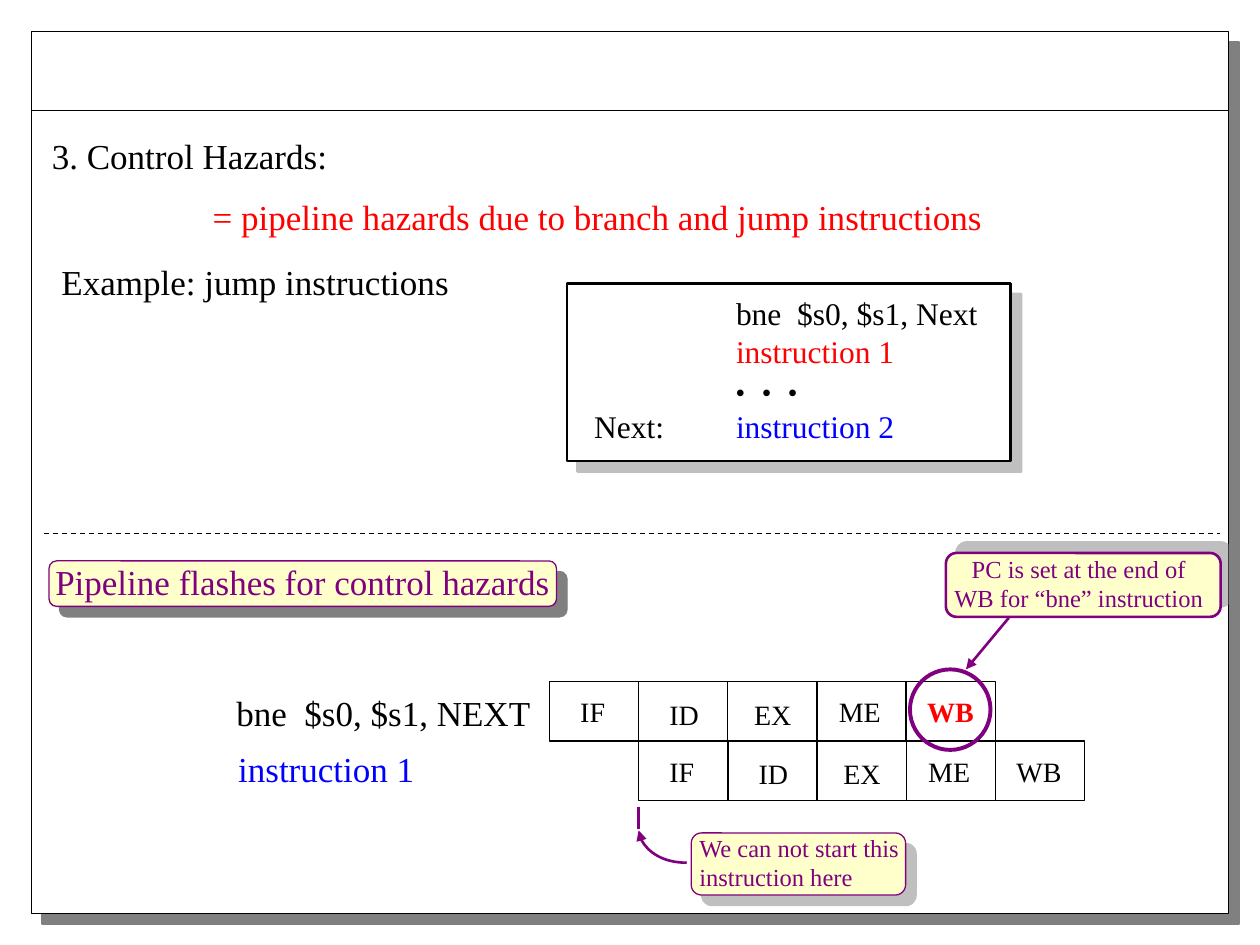
from dataclasses import dataclass

from lxml import etree
from pptx import Presentation
from pptx import util as u
from pptx.dml import color
from pptx.enum import dml, shapes, text
from pptx.oxml import ns

Pt = u.Pt
BLACK = color.RGBColor(0x00, 0x00, 0x00)
WHITE = color.RGBColor(0xFF, 0xFF, 0xFF)
RED = color.RGBColor(0xFF, 0x00, 0x00)
BLUE = color.RGBColor(0x00, 0x00, 0xFF)
PURPLE = color.RGBColor(0x80, 0x00, 0x80)
CREAM = color.RGBColor(0xFF, 0xFF, 0xCC)
SERIF = "Times New Roman"
RECT = shapes.MSO_SHAPE.RECTANGLE
ROUNDED = shapes.MSO_SHAPE.ROUNDED_RECTANGLE
OVAL = shapes.MSO_SHAPE.OVAL
CELL_WIDTH, CELL_HEIGHT = 50.95, 34
CODE_TABS = (81, 96, 111)


@dataclass(frozen=True)
class Shadow:
    opacity: int
    angle: int = 45


@dataclass(frozen=True)
class Panel:
    left: float
    top: float
    width: float
    height: float
    fill: color.RGBColor | None = WHITE
    line: color.RGBColor = BLACK
    weight: float = 0.75
    kind: shapes.MSO_SHAPE = RECT
    shadow: Shadow | None = None


@dataclass(frozen=True)
class Label:
    left: float
    top: float
    width: float
    height: float
    lines: tuple[str, ...]
    size: float = 20
    ink: color.RGBColor = BLACK
    bold: bool = False
    align: text.PP_ALIGN = text.PP_ALIGN.LEFT


@dataclass(frozen=True)
class Stage:
    name: str
    dx: float
    dy: float
    width: float


STAGES = (
    Stage("IF", 10.5, 4, 31),
    Stage("ID", 10.5, 5.5, 34),
    Stage("EX", 8, 5.5, 38),
    Stage("ME", 5.5, 4, 42),
    Stage("WB", 5, 4, 44),
)


def draw_panel(page, panel: Panel):
    box = page.shapes.add_shape(
        panel.kind, Pt(panel.left), Pt(panel.top), Pt(panel.width), Pt(panel.height))
    if panel.fill is None:
        box.fill.background()
    else:
        box.fill.solid()
        box.fill.fore_color.rgb = panel.fill
    box.line.color.rgb = panel.line
    box.line.width = Pt(panel.weight)
    box.shadow.inherit = False
    if panel.shadow:
        effects = box._element.spPr.find(ns.qn("a:effectLst"))
        outer = etree.SubElement(
            effects, ns.qn("a:outerShdw"), dist=str(Pt(8.5)),
            dir=str(panel.shadow.angle * 60000), algn="ctr", rotWithShape="0")
        tint = etree.SubElement(outer, ns.qn("a:srgbClr"), val="808080")
        etree.SubElement(tint, ns.qn("a:alpha"), val=str(panel.shadow.opacity * 1000))
    return box


def style_paragraph(para, size: float, ink: color.RGBColor, bold: bool = False) -> None:
    para.font.name = SERIF
    para.font.size = Pt(size)
    para.font.color.rgb = ink
    para.font.bold = bold


def add_text_box(page, left: float, top: float, width: float, height: float):
    box = page.shapes.add_textbox(Pt(left), Pt(top), Pt(width), Pt(height))
    box.text_frame.word_wrap = True
    return box


def draw_label(page, label: Label):
    box = add_text_box(page, label.left, label.top, label.width, label.height)
    box.text_frame.text = "\n".join(label.lines)
    for para in box.text_frame.paragraphs:
        para.alignment = label.align
        style_paragraph(para, label.size, label.ink, label.bold)
    return box


def draw_code(page) -> None:
    frame = add_text_box(page, 332.5, 164.5, 238, 93.5).text_frame
    listing = (
        ("\t", "bne  $s0, $s1, Next", BLACK),
        ("\t", "instruction 1", RED),
        ("\t", "•\t•\t•", BLACK),
        ("Next:\t", "instruction 2", BLUE),
    )
    for index, (lead, code, ink) in enumerate(listing):
        para = frame.paragraphs[0] if index == 0 else frame.add_paragraph()
        stops = etree.SubElement(para._p.get_or_add_pPr(), ns.qn("a:tabLst"))
        for stop in CODE_TABS:
            etree.SubElement(stops, ns.qn("a:tab"), pos=str(Pt(stop)), algn="l")
        style_paragraph(para, 18, BLACK)
        para.add_run().text = lead
        span = para.add_run()
        span.text = code
        span.font.color.rgb = ink
        if "•" in code:
            span.font.name = "Arial"
            span.font.size = Pt(14)


def draw_line(page, start: tuple[float, float], end: tuple[float, float],
              ink: color.RGBColor = BLACK, weight: float = 0.75,
              arrow: bool = False, kind=shapes.MSO_CONNECTOR.STRAIGHT):
    line = page.shapes.add_connector(kind, *map(Pt, start + end))
    line.line.color.rgb = ink
    line.line.width = Pt(weight)
    if arrow:
        etree.SubElement(line.line._get_or_add_ln(), ns.qn("a:tailEnd"), type="triangle")
    etree.SubElement(line._element.spPr, ns.qn("a:effectLst"))
    return line


def draw_pipeline(page, left: float, top: float, active: str = "") -> None:
    lefts = [left + index * CELL_WIDTH for index in range(len(STAGES))]
    for cell_left in lefts:
        draw_panel(page, Panel(cell_left, top, CELL_WIDTH, CELL_HEIGHT))
    for cell_left, stage in zip(lefts, STAGES):
        lit = stage.name == active
        draw_label(page, Label(
            cell_left + stage.dx, top + stage.dy, stage.width, 26.5, (stage.name,),
            16, RED if lit else BLACK, lit))


def main() -> None:
    deck = Presentation()
    deck.slide_width, deck.slide_height = Pt(720), Pt(540)
    page = deck.slides.add_slide(deck.slide_layouts[6])

    draw_panel(page, Panel(18, 18, 684, 504, shadow=Shadow(100)))
    draw_line(page, (18, 63), (702, 63))
    draw_pipeline(page, 365, 423.5)

    draw_label(page, Label(22.5, 73.5, 182, 31.5, ("3. Control Hazards:",)))
    draw_label(page, Label(
        114.5, 108, 460, 31.5,
        ("= pipeline hazards due to branch and jump instructions",), ink=RED))
    draw_label(page, Label(28, 145.5, 240, 31.5, ("Example: jump instructions",)))

    draw_panel(page, Panel(324, 162, 253.5, 101.5, weight=1.5, shadow=Shadow(50)))
    draw_code(page)

    draw_label(page, Label(128, 391.5, 186, 31.5, ("bne  $s0, $s1, NEXT",)))
    draw_label(page, Label(129, 423.5, 120, 31.5, ("instruction 1",), ink=BLUE))

    dashed = draw_line(page, (25, 305), (697, 305))
    dashed.line.dash_style = dml.MSO_LINE.DASH
    draw_panel(page, Panel(
        28, 320.5, 290, 26, CREAM, PURPLE, kind=ROUNDED, shadow=Shadow(100)))
    draw_label(page, Label(
        24.5, 317, 301, 31.5, ("Pipeline flashes for control hazards",), ink=PURPLE))

    draw_panel(page, Panel(
        540.5, 316, 157, 36.5, CREAM, PURPLE, 1.5, ROUNDED, Shadow(50, 315)))
    draw_label(page, Label(
        536.5, 313, 160, 41, ("PC is set at the end of", "WB for “bne” instruction"),
        14, PURPLE, align=text.PP_ALIGN.CENTER))
    draw_line(page, (576.5, 353), (552, 382.5), PURPLE, 1.5, arrow=True)

    draw_line(page, (365, 461), (365, 474), PURPLE, 1.5)
    draw_panel(page, Panel(
        395, 476, 122.5, 35.5, CREAM, PURPLE, kind=ROUNDED, shadow=Shadow(50)))
    warning = draw_label(page, Label(
        392.5, 472.5, 133, 41, ("We can not start this", "instruction here"), 14, PURPLE))
    curve = draw_line(page, (392.5, 493), (365, 474.5), PURPLE, 1.5, arrow=True,
                      kind=shapes.MSO_CONNECTOR.CURVE)
    curve._element.spPr.find(ns.qn("a:prstGeom")).set("prst", "curvedConnector2")
    curve.begin_connect(warning, 1)

    draw_pipeline(page, 314, 389.5, active="WB")
    draw_panel(page, Panel(520, 382.5, 46, 46, None, PURPLE, 2.25, OVAL))

    deck.save("out.pptx")


if __name__ == "__main__":
    main()
